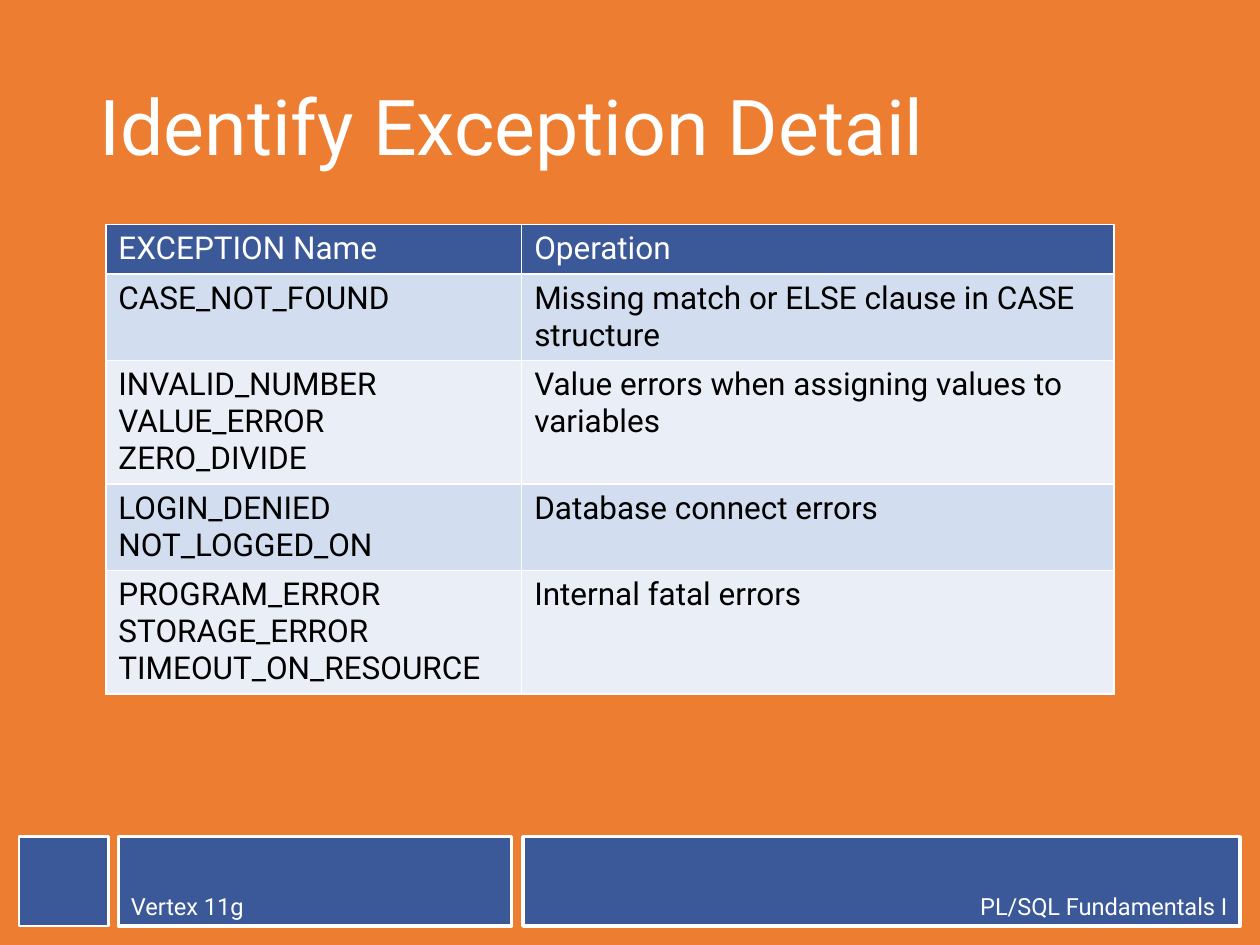
from pptx import Presentation
from pptx.dml.color import RGBColor
from pptx.enum.shapes import MSO_SHAPE
from pptx.enum.text import MSO_ANCHOR, PP_ALIGN
from pptx.util import Inches, Pt

RECT = MSO_SHAPE.RECTANGLE
MIDDLE, BOTTOM = MSO_ANCHOR.MIDDLE, MSO_ANCHOR.BOTTOM
LEFT, RIGHT = PP_ALIGN.LEFT, PP_ALIGN.RIGHT

ORANGE = RGBColor(0xED, 0x7D, 0x31)
BLUE = RGBColor(0x3B, 0x59, 0x98)
BAND = RGBColor(0xD2, 0xDE, 0xEF)
PALE = RGBColor(0xEA, 0xEF, 0xF7)
WHITE = RGBColor(0xFF, 0xFF, 0xFF)
BLACK = RGBColor(0, 0, 0)

TITLE = "Identify Exception Detail"
ROWS = [
    ("EXCEPTION Name", "Operation"),
    ("CASE_NOT_FOUND", "Missing match or ELSE clause in CASE structure"),
    ("INVALID_NUMBER\nVALUE_ERROR\nZERO_DIVIDE",
     "Value errors when assigning values to variables"),
    ("LOGIN_DENIED\nNOT_LOGGED_ON", "Database connect errors"),
    ("PROGRAM_ERROR\nSTORAGE_ERROR\nTIMEOUT_ON_RESOURCE",
     "Internal fatal errors"),
]
COLS = (3.3, 4.7)
LINES = (1, 2, 3, 2, 3)
LINE_H, PAD = 0.29, 0.1

# left, width, line width, alignment, text
FOOTER = [
    (0.94, 3.12, 2, LEFT, "Vertex 11g"),
    (4.15, 5.69, 2, RIGHT, "PL/SQL Fundamentals I"),
    (0.15, 0.71, 1.5, LEFT, ""),
]
FOOT_TOP, FOOT_H = 6.64, 0.71


def write(frame, text, size, color, align=LEFT):
    frame.text = text
    style = {"name": "Roboto", "size": Pt(size), "bold": False}
    for para in frame.paragraphs:
        para.alignment = align
        for run in para.runs:
            for key, value in style.items():
                setattr(run.font, key, value)
            run.font.color.rgb = color


def paint(item, color):
    item.fill.solid()
    item.fill.fore_color.rgb = color


def add_footer(slide):
    for left, width, line, align, text in FOOTER:
        box = slide.shapes.add_shape(RECT, Inches(left), Inches(FOOT_TOP),
                                     Inches(width), Inches(FOOT_H))
        box.shadow.inherit = False
        paint(box, BLUE)
        box.line.color.rgb = WHITE
        box.line.width = Pt(line)
        if text:
            box.text_frame.vertical_anchor = BOTTOM
            write(box.text_frame, text, 13.5, WHITE, align)


def add_title(slide):
    title = slide.shapes.title
    title.left, title.top = Inches(0.69), Inches(0.4)
    title.width, title.height = Inches(8.62), Inches(1.28)
    frame = title.text_frame
    frame.vertical_anchor = MIDDLE
    write(frame, TITLE, 44, WHITE)
    frame.paragraphs[0].line_spacing = 0.9


def add_grid(slide):
    heights = [PAD + LINE_H * count for count in LINES]
    table = slide.shapes.add_table(
        len(ROWS), len(COLS), Inches(0.84), Inches(1.78),
        Inches(sum(COLS)), Inches(sum(heights))).table
    for col, width in zip(table.columns, COLS):
        col.width = Inches(width)
    for r, texts in enumerate(ROWS):
        table.rows[r].height = Inches(heights[r])
        fill = BLUE if r == 0 else BAND if r % 2 else PALE
        for c, text in enumerate(texts):
            cell = table.cell(r, c)
            paint(cell, fill)
            write(cell.text_frame, text, 18, BLACK if r else WHITE)


def main():
    deck = Presentation()
    deck.slide_width, deck.slide_height = Inches(10), Inches(7.5)
    slide = deck.slides.add_slide(deck.slide_layouts[5])
    paint(slide.background, ORANGE)
    add_footer(slide)
    add_title(slide)
    add_grid(slide)
    deck.save("out.pptx")


if __name__ == "__main__":
    main()
